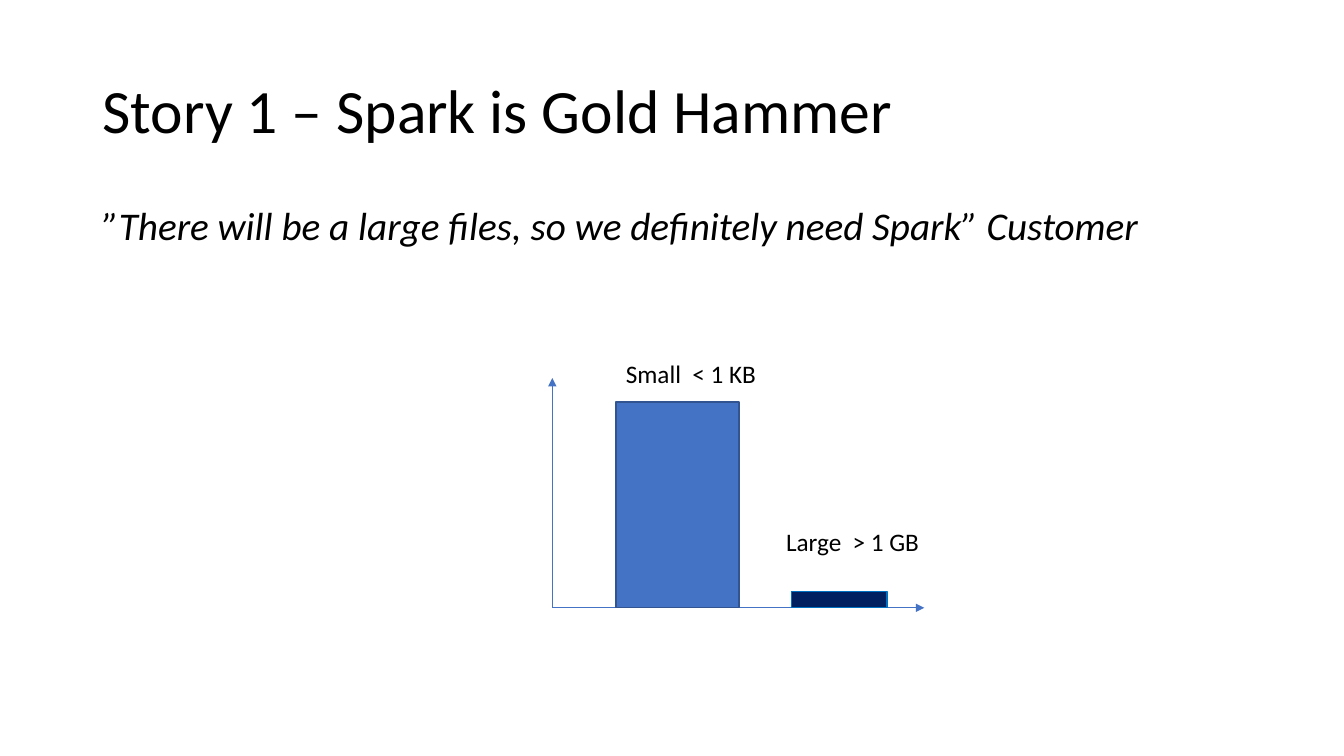
from lxml import etree
from pptx import Presentation
from pptx.dml.color import RGBColor
from pptx.enum.shapes import MSO_CONNECTOR as CONNECTOR, MSO_SHAPE as SHAPE
from pptx.enum.text import MSO_ANCHOR as ANCHOR, MSO_AUTO_SIZE as AUTO_SIZE, PP_ALIGN as ALIGN
from pptx.oxml.ns import qn
from pptx.util import Pt

BLUE = "4472C4"
ORIGIN_X, BASELINE = 394.56, 434.16
AXIS_ENDS = [(660.24, BASELINE), (ORIGIN_X, 270)]
BARS = [
    (439.92, 87.84, 146.88, BLUE, "325491"),
    (565.2, 68.4, 11.52, "002060", "0070C0"),
]
LABELS = [
    ("Small  < 1 KB", (439.92, 252.72, 128.88, 29.08)),
    ("Large  > 1 GB", (554.4, 372.24, 131.04, 29.08)),
]


def paint(color_format, color):
    """Give a fill's or font's colour the hex value."""
    color_format.rgb = RGBColor.from_string(color)


def set_all(target, values):
    """Set every attribute named in a dict of format values."""
    for name, value in values.items():
        setattr(target, name, value)


def place(shape, box):
    """Move and size a shape to a box in points."""
    set_all(shape, dict(zip(("left", "top", "width", "height"), map(Pt, box))))


def write(shape, text, size, spacing=1.0, anchor=ANCHOR.TOP, wrap=True, italic=False):
    """Write one left-aligned black paragraph in a shape."""
    frame = shape.text_frame
    frame.text = text
    set_all(frame, {"word_wrap": wrap, "vertical_anchor": anchor, "auto_size": AUTO_SIZE.NONE})
    paragraph = frame.paragraphs[0]
    set_all(paragraph, {"alignment": ALIGN.LEFT, "line_spacing": spacing})
    font = paragraph.runs[0].font
    set_all(font, {"name": "Calibri", "size": Pt(size), "italic": italic})
    paint(font.color, "000000")


def add_text(slide, text, box, size, **options):
    """Add a text box with one paragraph."""
    text_box = slide.shapes.add_textbox(*map(Pt, box))
    write(text_box, text, size, **options)


def add_axis(slide, end_x, end_y):
    """Draw an axis arrow from the origin to its end."""
    points = map(Pt, (ORIGIN_X, BASELINE, end_x, end_y))
    axis = slide.shapes.add_connector(CONNECTOR.STRAIGHT, *points)
    axis.line.width = Pt(0.5)
    paint(axis.line.color, BLUE)
    line_xml = axis.line._get_or_add_ln()
    etree.SubElement(line_xml, qn("a:tailEnd"), type="triangle")
    etree.SubElement(line_xml.getparent(), qn("a:effectLst"))


def add_bar(slide, left, width, height, fill, outline):
    """Stand a bar on the baseline."""
    box = (left, BASELINE - height, width, height)
    bar = slide.shapes.add_shape(SHAPE.RECTANGLE, *map(Pt, box))
    bar.shadow.inherit = False
    bar.fill.solid()
    paint(bar.fill.fore_color, fill)
    paint(bar.line.color, outline)
    bar.line.width = Pt(1)


def main():
    """Build the slide and save it."""
    deck = Presentation()
    set_all(deck, {"slide_width": Pt(960), "slide_height": Pt(540)})
    slide = deck.slides.add_slide(deck.slide_layouts[5])
    title = slide.shapes.title
    place(title, (66, 28.75, 828, 104.4))
    write(title, "Story 1 – Spark is Gold Hammer", 44, spacing=0.9, anchor=ANCHOR.MIDDLE)
    quote = "”There will be a large files, so we definitely need Spark” Customer"
    add_text(slide, quote, (66, 143.75, 828, 342.6), 28, spacing=0.9, italic=True)
    for end in AXIS_ENDS:
        add_axis(slide, *end)
    for bar in BARS:
        add_bar(slide, *bar)
    for text, box in LABELS:
        add_text(slide, text, box, 18, wrap=False)
    deck.save("out.pptx")


if __name__ == "__main__":
    main()
